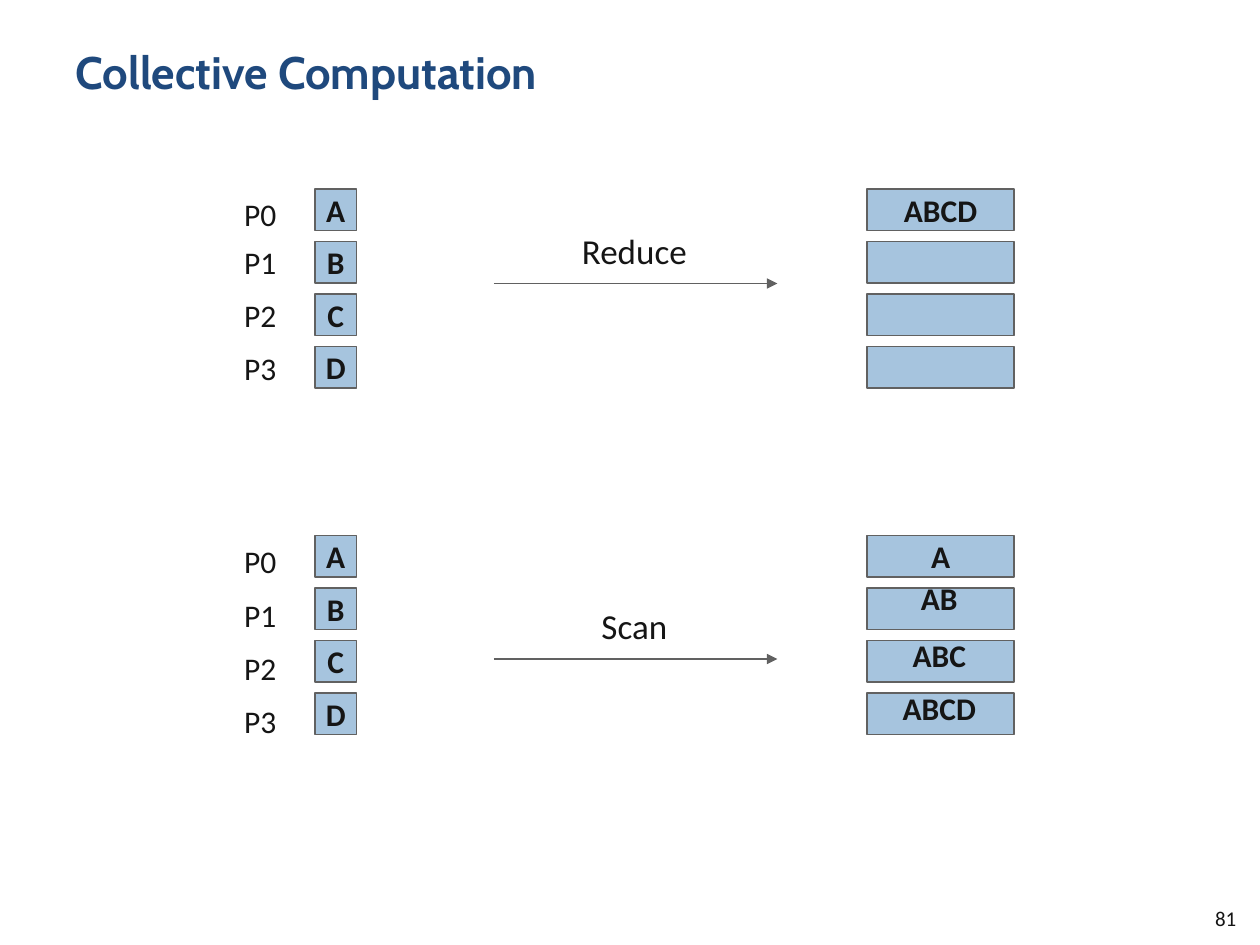
"""Build the slide that compares the Reduce and Scan collectives."""
from lxml import etree
from pptx import Presentation
from pptx.dml.color import RGBColor
from pptx.enum.shapes import MSO_CONNECTOR, MSO_SHAPE
from pptx.enum.text import MSO_ANCHOR, PP_ALIGN
from pptx.oxml.ns import qn
from pptx.util import Inches, Pt

INK, LINE, BOX, TITLE = "151515", "616161", "A6C4DE", "1F497D"
PITCH = 1.25 / 3
BOX_HEIGHT = 0.33


def color(value):
    """Turn a hex string into a colour."""
    return RGBColor.from_string(value)


def write(sp, text, size=18, bold=False, ink=INK, font="Calibri",
          align=PP_ALIGN.CENTER, anchor=MSO_ANCHOR.TOP, wrap=False):
    """Put one formatted line of text into a shape."""
    tf = sp.text_frame
    tf.word_wrap = wrap
    tf.vertical_anchor = anchor
    p = tf.paragraphs[0]
    p.text = text
    p.alignment = align
    for r in p.runs:
        r.font.name = font
        r.font.size = Pt(size)
        r.font.bold = bold
        r.font.color.rgb = color(ink)


def add_text(slide, x, y, w, h, text, **style):
    """Add a text box."""
    sp = slide.shapes.add_textbox(Inches(x), Inches(y), Inches(w), Inches(h))
    write(sp, text, **style)


def add_box(slide, x, y, w, text=""):
    """Add a data box, with a centred bold value if there is one."""
    sp = slide.shapes.add_shape(MSO_SHAPE.RECTANGLE, Inches(x), Inches(y),
                                Inches(w), Inches(BOX_HEIGHT))
    sp.shadow.inherit = False
    sp.fill.solid()
    sp.fill.fore_color.rgb = color(BOX)
    sp.line.color.rgb = color(LINE)
    sp.line.width = Pt(1)
    if text:
        write(sp, text, bold=True, anchor=MSO_ANCHOR.MIDDLE)


def add_arrow(slide, x1, x2, y):
    """Add a horizontal arrow that points right."""
    line = slide.shapes.add_connector(MSO_CONNECTOR.STRAIGHT, Inches(x1),
                                      Inches(y), Inches(x2), Inches(y))
    line.line.color.rgb = color(LINE)
    line.line.width = Pt(1)
    etree.SubElement(line.line._get_or_add_ln(), qn("a:tailEnd"), type="triangle")
    etree.SubElement(line._element.spPr, qn("a:effectLst"))


def add_operation(slide, top, name, arrow_y, label_tops, results):
    """Add the inputs, the arrow and the result boxes of one operation."""
    for i, (value, label_top) in enumerate(zip("ABCD", label_tops)):
        y = top + i * PITCH
        add_text(slide, 1.83, label_top, 0.47, 0.4, f"P{i}")
        add_box(slide, 2.5, y, BOX_HEIGHT, value)
        add_box(slide, 6.88, y, 1.17, results[i])
    add_arrow(slide, 3.92, 6.17, arrow_y)
    add_text(slide, 4.52, arrow_y - 0.48, 1.03, 0.43, name, size=20)


def main():
    """Build and save the slide."""
    prs = Presentation()
    prs.slide_width, prs.slide_height = Inches(10), Inches(7.5)
    slide = prs.slides.add_slide(prs.slide_layouts[6])
    add_text(slide, 0.5, 0.3, 9, 0.87, "Collective Computation", size=26,
             bold=True, ink=TITLE, font="Cabin", align=PP_ALIGN.LEFT, wrap=True)
    add_operation(slide, 1.5, "Reduce", 2.25, (1.5, 1.88, 2.3, 2.72),
                  ("ABCD", "", "", ""))
    add_operation(slide, 4.25, "Scan", 5.23, (4.25, 4.68, 5.1, 5.52),
                  ("A", "", "", ""))
    for y, text in ((4.55, "AB"), (5, "ABC"), (5.42, "ABCD")):
        add_text(slide, 7.06, y, 0.79, 0.4, text, bold=True)
    add_text(slide, 8.83, 7.15, 1.08, 0.27, "81", size=12,
             align=PP_ALIGN.RIGHT, anchor=MSO_ANCHOR.MIDDLE, wrap=True)
    prs.save("out.pptx")


if __name__ == "__main__":
    main()
